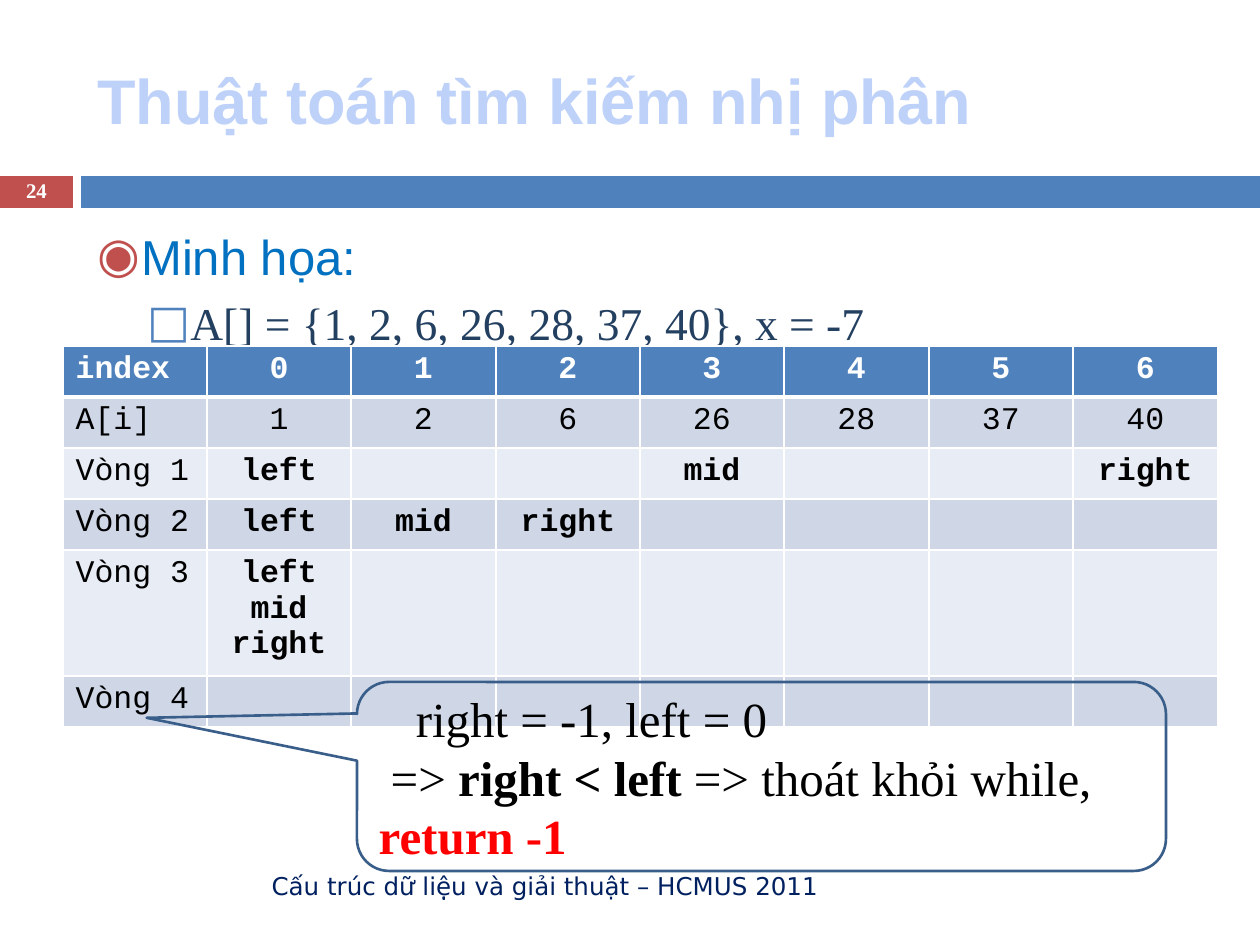
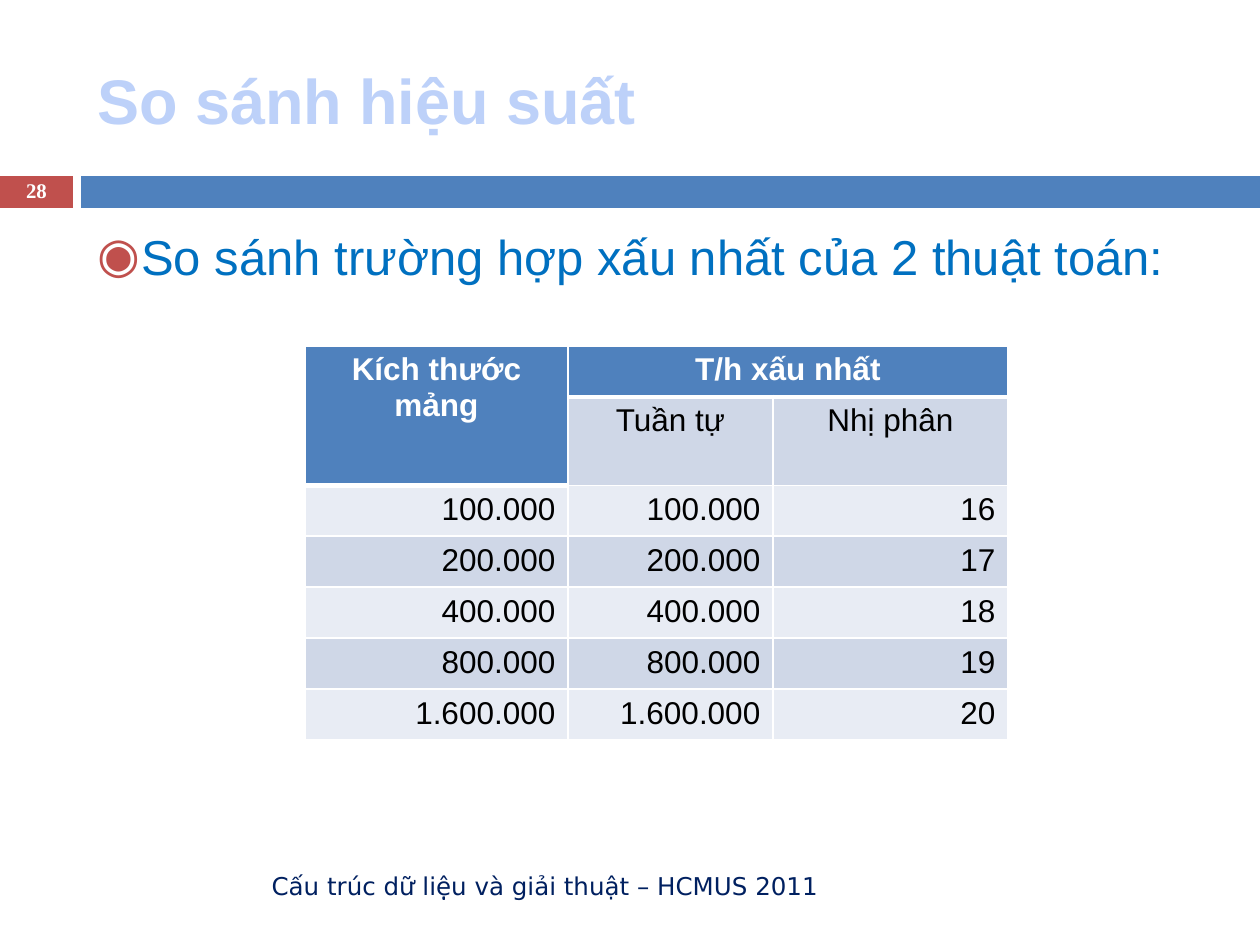
"""Build two lecture slides on binary search and its performance."""
from dataclasses import dataclass
from typing import NamedTuple

from lxml.etree import SubElement
from pptx import Presentation
from pptx.dml.color import RGBColor
from pptx.enum.shapes import MSO_SHAPE
from pptx.enum.text import MSO_ANCHOR, PP_ALIGN
from pptx.oxml.ns import qn
from pptx.util import Pt


class Box(NamedTuple):
    """A rectangle in px."""
    left: int
    top: int
    width: int
    height: int

    def emu(self):
        """Return the four lengths in EMU."""
        return [px(length) for length in self]


@dataclass(frozen=True)
class Theme:
    """Colours, fonts and type sizes of the deck."""
    white: str = "FFFFFF"
    black: str = "000000"
    red: str = "FF0000"
    accent: str = "4F81BD"
    marker: str = "C0504D"
    title: str = "BDD1F9"
    heading: str = "0070C0"
    detail: str = "244061"
    footer: str = "002060"
    outline: str = "395E89"
    stripes: tuple = ("E8ECF4", "CFD7E7")
    sans: str = "Arial"
    serif: str = "Times New Roman"
    mono: str = "Courier New"
    symbol: str = "DejaVu Sans"
    title_size: float = 36
    heading_size: float = 28
    detail_size: float = 26
    table_size: float = 18
    footer_size: float = 14
    number_size: float = 11.9


THEME = Theme()
PAGE = Box(0, 0, 1260, 945)
BODY = Box(85, 220, 1124, 620)


def px(length):
    """Turn px into EMU."""
    return round(length * 914400 / 126)


def divide(total, count):
    """Split a length into whole, nearly equal parts."""
    return [total * (i + 1) // count - total * i // count for i in range(count)]


def write(para, text, font=THEME.sans, size=THEME.table_size,
          color=THEME.black, bold=False, align=PP_ALIGN.LEFT):
    """Append a formatted span to a paragraph."""
    para.alignment = align
    span = para.add_run()
    span.text = text
    span.font.name = font
    span.font.size = Pt(size)
    span.font.bold = bold
    span.font.color.rgb = RGBColor.from_string(color)


def set_indent(para, margin, first):
    """Set the left margin and first-line indent of a paragraph."""
    props = para._p.get_or_add_pPr()
    props.set("marL", str(px(margin)))
    props.set("indent", str(px(first)))


def add_bullet(para, symbol, color):
    """Give a paragraph a coloured bullet."""
    props = para._p.get_or_add_pPr()
    SubElement(SubElement(props, qn("a:buClr")), qn("a:srgbClr"), val=color)
    SubElement(props, qn("a:buFont"), typeface=THEME.symbol)
    SubElement(props, qn("a:buChar"), char=symbol)


def add_frame(page, box, anchor=MSO_ANCHOR.MIDDLE):
    """Add a wrapping text box and return its text frame."""
    frame = page.shapes.add_textbox(*box.emu()).text_frame
    frame.word_wrap = True
    frame.vertical_anchor = anchor
    return frame


def add_band(page, box, number):
    """Draw the band with the slide number at its left end."""
    tab = Box(box.left, box.top, 73, box.height)
    bar = Box(box.left + 81, box.top, box.width - 81, box.height)
    for part, color in ((tab, THEME.marker), (bar, THEME.accent)):
        shape = page.shapes.add_shape(MSO_SHAPE.RECTANGLE, *part.emu())
        shape.shadow.inherit = False
        shape.fill.solid()
        shape.fill.fore_color.rgb = RGBColor.from_string(color)
        shape.line.fill.background()
    label = Box(tab.left, tab.top - 1, tab.width, tab.height + 2)
    para = add_frame(page, label).paragraphs[0]
    para.line_spacing = 0.8
    write(para, str(number), THEME.serif, THEME.number_size, THEME.white,
          bold=True, align=PP_ALIGN.CENTER)


def add_page(deck, title, number):
    """Add a slide with title, band and footer."""
    page = deck.slides.add_slide(deck.slide_layouts[6])
    add_band(page, Box(PAGE.left, 176, PAGE.width, 32), number)
    write(add_frame(page, Box(BODY.left, 31, BODY.width, 136)).paragraphs[0],
          title, size=THEME.title_size, color=THEME.title, bold=True)
    write(add_frame(page, Box(BODY.left, 861, 746, 50)).paragraphs[0],
          "Cấu trúc dữ liệu và giải thuật – HCMUS 2011", THEME.symbol,
          THEME.footer_size, THEME.footer, align=PP_ALIGN.RIGHT)
    return page


def add_body(page, box, heading, detail=None):
    """Write a bulleted heading and an optional second-level line."""
    frame = add_frame(page, box, MSO_ANCHOR.TOP)
    para = frame.paragraphs[0]
    set_indent(para, 44, -44)
    add_bullet(para, "◉", THEME.marker)
    write(para, heading, size=THEME.heading_size, color=THEME.heading)
    if detail:
        para = frame.add_paragraph()
        para.level = 1
        para.space_before = Pt(5.5)
        set_indent(para, 88, -38)
        add_bullet(para, "□", THEME.accent)
        write(para, detail, THEME.serif, THEME.detail_size, THEME.detail)


def style_cell(cell, fill, sides):
    """Set white borders, given as side and width, and the fill of a cell."""
    props = cell._tc.get_or_add_tcPr()
    for side, width in sides.items():
        line = SubElement(props, qn(f"a:ln{side}"), w=str(Pt(width)))
        color = SubElement(line, qn("a:solidFill"))
        SubElement(color, qn("a:srgbClr"), val=THEME.white)
    cell.fill.solid()
    cell.fill.fore_color.rgb = RGBColor.from_string(fill)


def add_grid(page, box, widths, rows, formats, merges=()):
    """Add a striped table; formats maps a row and column to a text format."""
    table = page.shapes.add_table(len(rows), len(widths), *box.emu()).table
    for column, width in zip(table.columns, widths):
        column.width = px(width)
    for row, height in zip(table.rows, divide(box.height, len(rows))):
        row.height = px(height)
    for first, last in merges:
        table.cell(*first).merge(table.cell(*last))
    for r, texts in enumerate(rows):
        for c, text in enumerate(texts):
            cell = table.cell(r, c)
            header = r == 0 or cell.is_spanned
            sides = {"L": 1, "R": 1}
            if r == 0:
                sides["T"] = 1
            sides["B"] = 3 if header else 1
            style_cell(cell, THEME.accent if header else THEME.stripes[r % 2], sides)
            if not text:
                continue
            frame = cell.text_frame
            for i, line in enumerate(text.split("\n")):
                para = frame.add_paragraph() if i else frame.paragraphs[0]
                write(para, line, color=THEME.white if header else THEME.black,
                      **formats(r, c))


def add_trace(page, box):
    """Draw the table that follows left, mid and right through the loop."""
    blank = [""]
    rows = [
        ["index", *map(str, range(7))],
        ["A[i]", "1", "2", "6", "26", "28", "37", "40"],
        ["Vòng 1", "left", "", "", "mid", "", "", "right"],
        ["Vòng 2", "left", "mid", "right"] + blank * 4,
        ["Vòng 3", "left\nmid\nright"] + blank * 6,
        ["Vòng 4"] + blank * 7,
    ]

    def formats(r, c):
        """Centre the values; embolden the header and the pointers."""
        return {"font": THEME.mono, "bold": r == 0 or (r > 1 and c > 0),
                "align": PP_ALIGN.CENTER if c else PP_ALIGN.LEFT}

    add_grid(page, box, divide(box.width, 8), rows, formats)


def add_callout(page, box):
    """Draw the callout that explains why the loop ends."""
    shape = page.shapes.add_shape(MSO_SHAPE.ROUNDED_RECTANGULAR_CALLOUT, *box.emu())
    shape.shadow.inherit = False
    shape.fill.background()
    shape.line.color.rgb = RGBColor.from_string(THEME.outline)
    shape.line.width = Pt(1.5)
    for i, value in enumerate((-0.76, -0.31, 0.17)):
        shape.adjustments[i] = value
    frame = shape.text_frame
    frame.word_wrap = True
    frame.vertical_anchor = MSO_ANCHOR.MIDDLE
    style = {"font": THEME.serif, "size": THEME.heading_size}
    state, result = frame.paragraphs[0], frame.add_paragraph()
    set_indent(state, 0, 37)
    write(state, "right = -1, left = 0", **style)
    set_indent(result, 0, 12)
    write(result, "=> ", **style)
    write(result, "right < left", bold=True, **style)
    write(result, " => thoát khỏi while, ", **style)
    write(result, "return -1", color=THEME.red, bold=True, **style)


def add_comparison(page, box):
    """Draw the worst-case table of sequential and binary search."""
    sizes = ["100.000", "200.000", "400.000", "800.000", "1.600.000"]
    rows = [["Kích thước mảng", "T/h xấu nhất", ""], ["", "Tuần tự", "Nhị phân"]]
    rows += [[size, size, str(steps)] for steps, size in enumerate(sizes, 16)]

    def formats(r, c):
        """Centre the headings and align the figures right."""
        return {"bold": r == 0, "align": PP_ALIGN.RIGHT if r > 1 else PP_ALIGN.CENTER}

    add_grid(page, box, [263, 205, box.width - 468], rows, formats,
             merges=[((0, 0), (1, 0)), ((0, 1), (0, 2))])


def main():
    """Build and save the deck."""
    deck = Presentation()
    deck.slide_width, deck.slide_height = px(PAGE.width), px(PAGE.height)

    page = add_page(deck, "Thuật toán tìm kiếm nhị phân", 24)
    add_body(page, BODY, "Minh họa:", "A[] = {1, 2, 6, 26, 28, 37, 40}, x = -7")
    add_trace(page, Box(63, 346, 1155, 306))
    add_callout(page, Box(357, 682, 809, 189))

    page = add_page(deck, "So sánh hiệu suất", 28)
    add_body(page, BODY, "So sánh trường hợp xấu nhất của 2 thuật toán:")
    add_comparison(page, Box(305, 346, 703, 357))

    deck.save("out.pptx")


if __name__ == "__main__":
    main()
